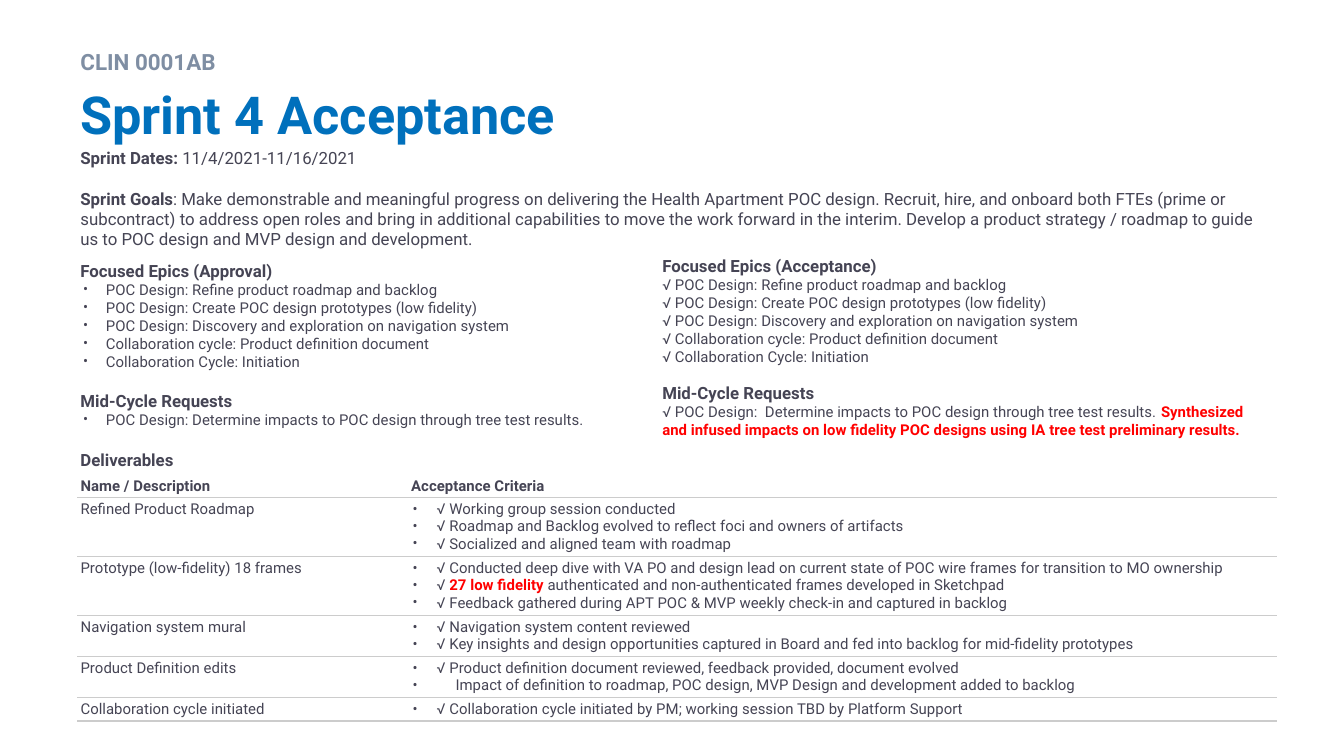
"""Builds the Sprint 4 Acceptance slide with goals, epics and a deliverables table."""
from lxml import etree
from pptx import Presentation
from pptx.dml.color import RGBColor
from pptx.enum.shapes import MSO_SHAPE
from pptx.enum.text import MSO_ANCHOR, PP_ALIGN
from pptx.oxml.ns import qn
from pptx.util import Inches, Pt

RECT = MSO_SHAPE.RECTANGLE
TOP, BOTTOM = MSO_ANCHOR.TOP, MSO_ANCHOR.BOTTOM
LEFT = PP_ALIGN.LEFT
INK = RGBColor(0x45, 0x44, 0x54)
SLATE = RGBColor(0x7F, 0x8E, 0xA3)
BLUE = RGBColor(0x00, 0x70, 0xBC)
RED = RGBColor(0xFF, 0x00, 0x00)
WHITE = RGBColor(0xFF, 0xFF, 0xFF)
RULE = RGBColor(0xCC, 0xCC, 0xCC)

HEAD = {"size": Pt(9), "bold": True}
BODY = {"size": Pt(9), "bold": False}
ITEM = {"size": Pt(8), "bold": False}
LABEL = {"size": Pt(8), "bold": True}
ALERT = {"size": Pt(8), "bold": True, "color": RED}
KICKER = {"size": Pt(12), "bold": True, "color": SLATE}
TITLE = {"size": Pt(28), "bold": True, "color": BLUE}


def add_paragraph(tf, runs, before=0, indent=None, hang=0.17):
    p = tf.paragraphs[0]
    if p.runs:
        p = tf.add_paragraph()
    p.alignment = LEFT
    if before:
        p.space_before = Pt(before)
    if indent:
        pPr = p._p.get_or_add_pPr()
        pPr.set("marL", str(Inches(indent)))
        pPr.set("indent", str(-Inches(hang)))
        clr = etree.SubElement(pPr, qn("a:buClr"))
        etree.SubElement(clr, qn("a:srgbClr"), val=str(INK))
        etree.SubElement(pPr, qn("a:buFont"), typeface="Roboto")
        etree.SubElement(pPr, qn("a:buChar"), char="•")
    for text, style in runs:
        r = p.add_run()
        r.text = text
        r.font.name = "Roboto"
        r.font.color.rgb = INK
        for name, value in style.items():
            if name == "color":
                r.font.color.rgb = value
            else:
                setattr(r.font, name, value)
    return p


def set_frame(tf, side, top, anchor=TOP):
    frame = {"word_wrap": True, "vertical_anchor": anchor,
             "margin_left": Inches(side), "margin_right": Inches(side),
             "margin_top": Inches(top), "margin_bottom": Inches(top)}
    for name, value in frame.items():
        setattr(tf, name, value)
    return tf


prs = Presentation()
prs.slide_width = Inches(10)
prs.slide_height = prs.slide_width * 9 // 16
s = prs.slides.add_slide(prs.slide_layouts[6])

sp = s.shapes.add_textbox(Inches(0.5), Inches(1), Inches(9), Inches(2.61))
tf = set_frame(sp.text_frame, 0.1, 0.1)
add_paragraph(tf, [("Sprint Dates: ", HEAD), ("11/4/2021-11/16/2021", BODY)])
add_paragraph(tf, [
    ("Sprint Goals", HEAD),
    (": Make demonstrable and meaningful progress on delivering the Health Apartment POC "
     "design. Recruit, hire, and onboard both FTEs (prime or subcontract) to address open "
     "roles and bring in additional capabilities to move the work forward in the interim. "
     "Develop a product strategy / roadmap to guide us to POC design and MVP design and "
     "development.", BODY)], before=11)

epics = [
    "POC Design: Refine product roadmap and backlog",
    "POC Design: Create POC design prototypes (low fidelity)",
    "POC Design: Discovery and exploration on navigation system",
    "Collaboration cycle: Product definition document",
    "Collaboration Cycle: Initiation",
]
request = "POC Design: Determine impacts to POC design through tree test results."
sections = [
    ("Focused Epics (Approval)", 6, epics),
    ("Mid-Cycle Requests", 11, [request]),
    ("Deliverables", 11, []),
]
for heading, before, items in sections:
    add_paragraph(tf, [(heading, HEAD)], before=before)
    for item in items:
        add_paragraph(tf, [(item, ITEM)], indent=0.19)

sp = s.shapes.add_textbox(Inches(0.5), Inches(0.27), Inches(9), Inches(0.29))
tf = set_frame(sp.text_frame, 0.1, 0.05)
add_paragraph(tf, [("CLIN 0001AB", KICKER)]).line_spacing = 1.2

deliverables = [
    ("Refined Product Roadmap", [
        "√ Working group session conducted",
        "√ Roadmap and Backlog evolved to reflect foci and owners of artifacts",
        "√ Socialized and aligned team with roadmap"]),
    ("Prototype (low-fidelity) 18 frames", [
        "√ Conducted deep dive with VA PO and design lead on current state of POC wire "
        "frames for transition to MO ownership",
        [("√ ", ITEM), ("27 low fidelity", ALERT),
         (" authenticated and non-authenticated frames developed in Sketchpad", ITEM)],
        "√ Feedback gathered during APT POC & MVP weekly check-in and captured in backlog"]),
    ("Navigation system mural", [
        "√ Navigation system content reviewed",
        "√ Key insights and design opportunities captured in Board and fed into backlog "
        "for mid-fidelity prototypes"]),
    ("Product Definition edits", [
        "√ Product definition document reviewed, feedback provided, document evolved",
        "Impact of definition to roadmap, POC design, MVP Design and development added "
        "to backlog"]),
    ("Collaboration cycle initiated", [
        "√ Collaboration cycle initiated by PM; working session TBD by Platform Support"]),
]
heights = [0.17] + [0.05 + 0.12 * len(criteria) for _, criteria in deliverables]
table = s.shapes.add_table(len(heights), 2, Inches(0.58), Inches(3.53),
                           Inches(8.92), Inches(sum(heights))).table
table.first_row = table.horz_banding = False
for column, width in zip(table.columns, (2.46, 6.46)):
    column.width = Inches(width)
for i, height in enumerate(heights):
    table.rows[i].height = Inches(height)
    for cell in table.rows[i].cells:
        set_frame(cell, 0.02, 0.02, TOP if i else BOTTOM)
        cell.fill.background()
        tcPr = cell._tc.get_or_add_tcPr()
        edges = {"a:lnL": WHITE, "a:lnR": WHITE, "a:lnT": RULE if i else WHITE, "a:lnB": RULE}
        for k, (edge, color) in enumerate(edges.items()):
            ln = etree.Element(qn(edge), w=str(Pt(0.75)))
            fill = etree.SubElement(ln, qn("a:solidFill"))
            etree.SubElement(fill, qn("a:srgbClr"), val=str(color))
            tcPr.insert(k, ln)

for j, text in enumerate(("Name / Description", "Acceptance Criteria")):
    add_paragraph(table.cell(0, j).text_frame, [(text, LABEL)])
for i, (name, criteria) in enumerate(deliverables, 1):
    add_paragraph(table.cell(i, 0).text_frame, [(name, ITEM)])
    for item in criteria:
        runs = [(item, ITEM)] if isinstance(item, str) else item
        extra = 0 if runs[0][0].startswith("√") else 0.14
        add_paragraph(table.cell(i, 1).text_frame, runs,
                      indent=0.19 + extra, hang=0.18 + extra)

sp = s.shapes.add_shape(RECT, Inches(4.83), Inches(1.8), Inches(4.66), Inches(1.58))
sp.shadow.inherit = False
sp.fill.solid()
sp.fill.fore_color.rgb = WHITE
sp.line.fill.background()
tf = set_frame(sp.text_frame, 0.1, 0.1)
add_paragraph(tf, [("Focused Epics (Acceptance)", HEAD)])
for epic in epics:
    add_paragraph(tf, [("√ " + epic, ITEM)])
add_paragraph(tf, [("Mid-Cycle Requests", HEAD)], before=9.4)
add_paragraph(tf, [
    ("√ " + request.replace(": ", ":  ") + " ", ITEM),
    ("Synthesized and infused impacts on low fidelity POC designs using IA tree test "
     "preliminary results.", ALERT)])

sp = s.shapes.add_textbox(Inches(0.5), Inches(0.56), Inches(9), Inches(0.69))
tf = set_frame(sp.text_frame, 0.1, 0.05)
add_paragraph(tf, [("Sprint 4 Acceptance", TITLE)])

prs.save("out.pptx")
